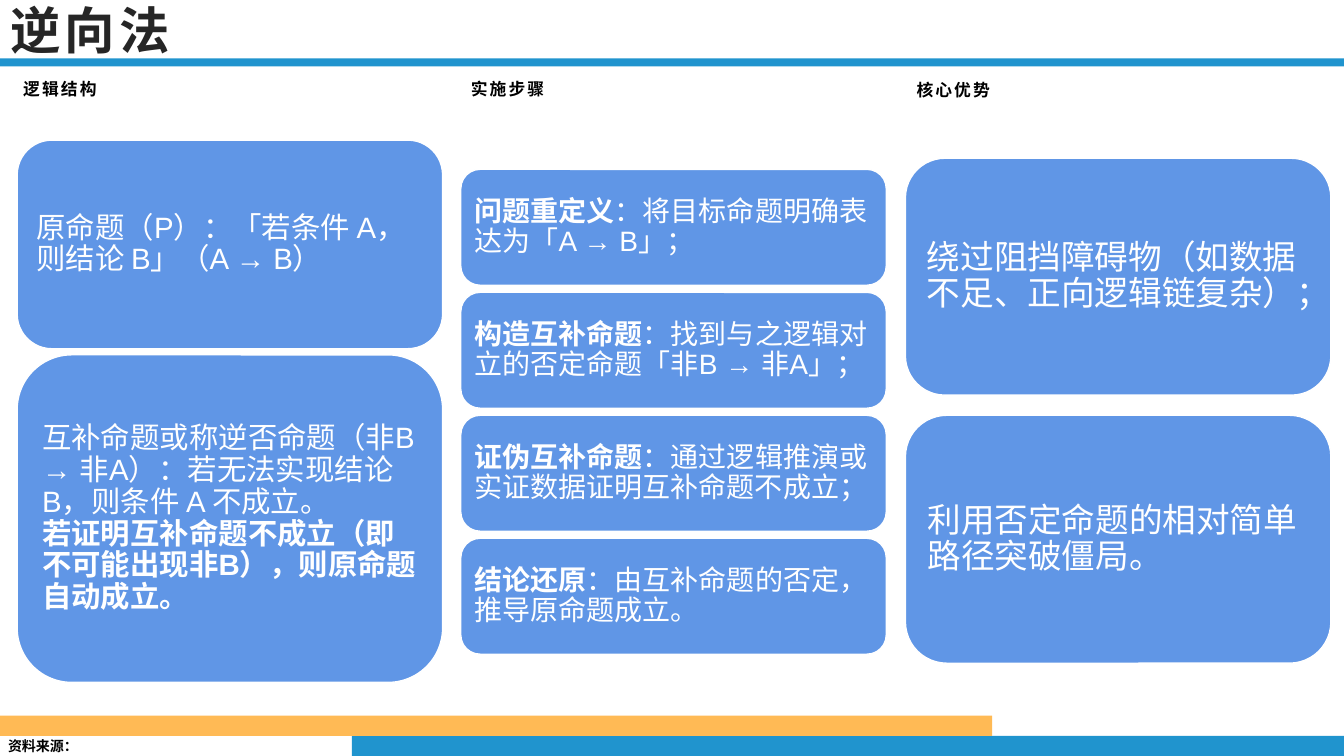
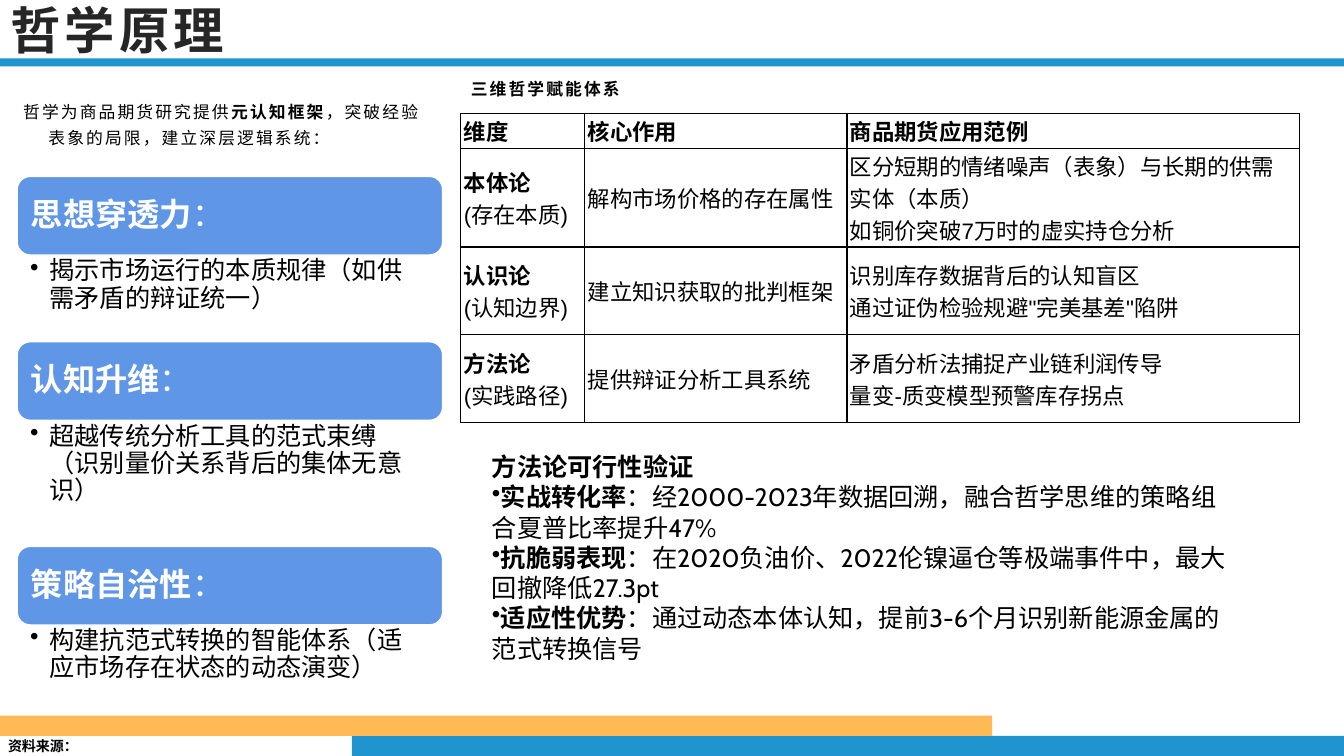
from lxml import etree
from pptx import Presentation
from pptx.dml.color import RGBColor
from pptx.enum.shapes import MSO_SHAPE
from pptx.enum.text import MSO_ANCHOR, MSO_AUTO_SIZE, PP_ALIGN
from pptx.oxml.ns import qn
from pptx.util import Inches, Pt

RECT, ROUND = MSO_SHAPE.RECTANGLE, MSO_SHAPE.ROUNDED_RECTANGLE
TOP, MIDDLE = MSO_ANCHOR.TOP, MSO_ANCHOR.MIDDLE
LEFT, NO_FIT = PP_ALIGN.LEFT, MSO_AUTO_SIZE.NONE
CJK = "Noto Sans CJK SC"
C = {"blue": "2094CE", "orange": "FFBA55", "card": "6096E6",
     "title": "262626", "black": "000000", "white": "FFFFFF"}

TITLE = {"size": 36, "font": CJK, "color": "title", "spc": 3, "anchor": MIDDLE}
LABEL = {"size": 12, "font": CJK, "spc": 1.5, "anchor": MIDDLE, "line": 1.3,
         "indent": 0.25, "insets": (0.09, 0.04, 0.09, 0.04)}
CARD = {"color": "white", "anchor": MIDDLE, "line": 0.9}
NOTE = {"size": 18, "line": 0.9, "bullet": True, "indent": 0.19,
        "insets": (0.13, 0.03, 0.18, 0.03)}
CELL = {"size": 16, "anchor": MIDDLE, "insets": (0.03, 0.01, 0.03, 0.01)}


def add_box(s, kind, box, fill, line=None):
    sp = s.shapes.add_shape(kind, *[Inches(v) for v in box])
    sp.shadow.inherit = False
    sp.fill.solid()
    sp.fill.fore_color.rgb = RGBColor.from_string(C[fill])
    if line:
        sp.line.color.rgb = RGBColor.from_string(C[line])
        sp.line.width = Pt(1)
    else:
        sp.line.fill.background()
    return sp


def write(holder, text, style, first=True):
    tf = getattr(holder, "text_frame", holder)
    tf.word_wrap = True
    tf.auto_size = NO_FIT
    holder.vertical_anchor = style.get("anchor", TOP)
    for side, v in zip(("left", "top", "right", "bottom"),
                       style.get("insets", (0.1, 0.05, 0.1, 0.05))):
        setattr(holder, "margin_" + side, Inches(v))
    p = tf.paragraphs[0] if first else tf.add_paragraph()
    pPr = p._p.get_or_add_pPr()
    indent = Inches(style.get("indent", 0))
    pPr.set("marL", str(indent))
    pPr.set("indent", str(-indent))
    if style.get("bullet"):
        etree.SubElement(pPr, qn("a:buChar")).set("char", "•")
    p.alignment = LEFT
    p.line_spacing = style.get("line", 1.0)
    for i, part in enumerate(text.split("**")):
        for j, piece in enumerate(part.split("\n")):
            if j:
                p.add_line_break()
            if not piece:
                continue
            r = p.add_run()
            r.text = piece
            for name, value in {"size": Pt(style["size"]), "bold": i % 2 == 1,
                                "name": style.get("font", "Arial")}.items():
                setattr(r.font, name, value)
            r.font.color.rgb = RGBColor.from_string(C[style.get("color", "black")])
            rPr = r._r.get_or_add_rPr()
            rPr.set("spc", str(int(style.get("spc", 0) * 100)))
            etree.SubElement(rPr, qn("a:ea")).set("typeface", CJK)


prs = Presentation()
prs.slide_width, prs.slide_height = Inches(13.33), Inches(7.5)
layout = prs.slide_layouts[5]
title = layout.placeholders[0]
title.left, title.top, title.width, title.height = [Inches(v) for v in (0, 0, 11.44, 0.58)]

logic, philosophy = [prs.slides.add_slide(layout) for _ in range(2)]
for s, text in ((logic, "逆向法"), (philosophy, "哲学原理")):
    write(s.shapes.title.text_frame, f"**{text}**", TITLE)

shared = [add_box(logic, RECT, box, fill) for box, fill in (
    ((3.49, 7.3, 9.84, 0.2), "blue"),
    ((0, 7.1, 9.84, 0.2), "orange"),
    ((0, 0.58, 13.33, 0.08), "blue"))]
source = logic.shapes.add_textbox(0, Inches(7.27), Inches(1), Inches(0.23))
write(source.text_frame, "**资料来源：**",
      {"size": 10, "font": CJK, "insets": (0.08, 0.05, 0, 0)})
for i, sp in enumerate(shared + [source]):
    sp.element.nvSpPr.cNvPr.set("id", str(20 + i))
    layout.shapes.element.append(sp.element)

labels = (
    (logic, (0.14, 0.72, 4.25, 0.26), "**逻辑结构**"),
    (logic, (4.58, 0.72, 4.25, 0.26), "**实施步骤**"),
    (logic, (9, 0.73, 4.25, 0.26), "**核心优势**"),
    (philosophy, (0.14, 0.72, 4.25, 0.98),
     "哲学为商品期货研究提供**元认知框架**，突破经验表象的局限，建立深层逻辑系统："),
    (philosophy, (4.58, 0.72, 8.23, 0.26), "**三维哲学赋能体系**"))
for s, box, text in labels:
    write(add_box(s, RECT, box, "white").text_frame, text, LABEL)

columns = (
    (0.17, 1.39, 0.06, 21, 0.09, (
        (2.07, "原命题（P）：「若条件 A，则结论 B」（A → B）"),
        (3.25, "互补命题或称逆否命题（非B → 非A）：若无法实现结论 B，则条件 A 不成立。\n"
               "**若证明互补命题不成立（即不可能出现非B），则原命题自动成立。**"))),
    (4.57, 1.68, 0.07, 20, 0.08, (
        (1.15, "**问题重定义**：将目标命题明确表达为「A → B」；"),
        (1.15, "**构造互补命题**：找到与之逻辑对立的否定命题「非B → 非A」；"),
        (1.15, "**证伪互补命题**：通过逻辑推演或实证数据证明互补命题不成立；"),
        (1.15, "**结论还原**：由互补命题的否定，推导原命题成立。"))),
    (8.98, 1.57, 0.2, 24, 0.1, (
        (2.35, "绕过阻挡障碍物（如数据不足、正向逻辑链复杂）；"),
        (2.46, "利用否定命题的相对简单路径突破僵局。"))))
for left, top, gap, size, inset, cards in columns:
    for height, text in cards:
        sp = add_box(logic, ROUND, (left, top, 4.22, height), "card", "white")
        write(sp.text_frame, text, {**CARD, "size": size, "insets": (inset,) * 4})
        top += height + gap

top = 1.75
for heading, height, text in (
        ("思想穿透力", 0.86, "揭示市场运行的本质规律（如供需矛盾的辩证统一）"),
        ("认知升维", 1.25, "超越传统分析工具的范式束缚（识别量价关系背后的集体无意识）"),
        ("策略自洽性", 0.86, "构建抗范式转换的智能体系（适应市场存在状态的动态演变）")):
    sp = add_box(philosophy, ROUND, (0.17, top, 4.22, 0.78), "card", "white")
    write(sp.text_frame, f"**{heading}**：", {**CARD, "size": 23, "insets": (0.1,) * 4})
    top += 0.78
    note = philosophy.shapes.add_textbox(*[Inches(v) for v in (0.17, top, 4.22, height)])
    write(note.text_frame, text, NOTE)
    top += height

rows = (
    ("**维度**", "**核心作用**", "**商品期货应用范例**"),
    ("**本体论**\n(存在本质)", "解构市场价格的存在属性",
     "区分短期的情绪噪声（表象）与长期的供需实体（本质）\n如铜价突破7万时的虚实持仓分析"),
    ("**认识论**\n(认知边界)", "建立知识获取的批判框架",
     "识别库存数据背后的认知盲区\n通过证伪检验规避\"完美基差\"陷阱"),
    ("**方法论**\n(实践路径)", "提供辩证分析工具系统",
     "矛盾分析法捕捉产业链利润传导\n量变-质变模型预警库存拐点"))
table = philosophy.shapes.add_table(
    4, 3, *[Inches(v) for v in (4.57, 1.13, 8.32, 2.9)]).table
table.first_row = table.horz_banding = False
for col, width in zip(table.columns, (1.23, 2.6, 4.49)):
    col.width = Inches(width)
for i, row in enumerate(rows):
    table.rows[i].height = Inches(0.87 if i else 0.25)
    for j, text in enumerate(row):
        cell = table.cell(i, j)
        write(cell, text, CELL)
        tcPr = cell._tc.get_or_add_tcPr()
        for edge in ("L", "R", "T", "B"):
            ln = etree.SubElement(tcPr, qn("a:ln" + edge))
            ln.set("w", str(Pt(1)))
            fill = etree.SubElement(ln, qn("a:solidFill"))
            etree.SubElement(fill, qn("a:srgbClr")).set("val", C["black"])
        cell.fill.background()

proof = philosophy.shapes.add_textbox(*[Inches(v) for v in (4.78, 4.43, 7.58, 2.22)])
write(proof.text_frame, "**方法论可行性验证**", {"size": 18})
for text in (
        "**实战转化率**：经2000-2023年数据回溯，融合哲学思维的策略组合夏普比率提升47%",
        "**抗脆弱表现**：在2020负油价、2022伦镍逼仓等极端事件中，最大回撤降低27.3pt",
        "**适应性优势**：通过动态本体认知，提前3-6个月识别新能源金属的范式转换信号"):
    write(proof.text_frame, text, {"size": 18, "font": "Cabin", "bullet": True}, first=False)

prs.save("out.pptx")
